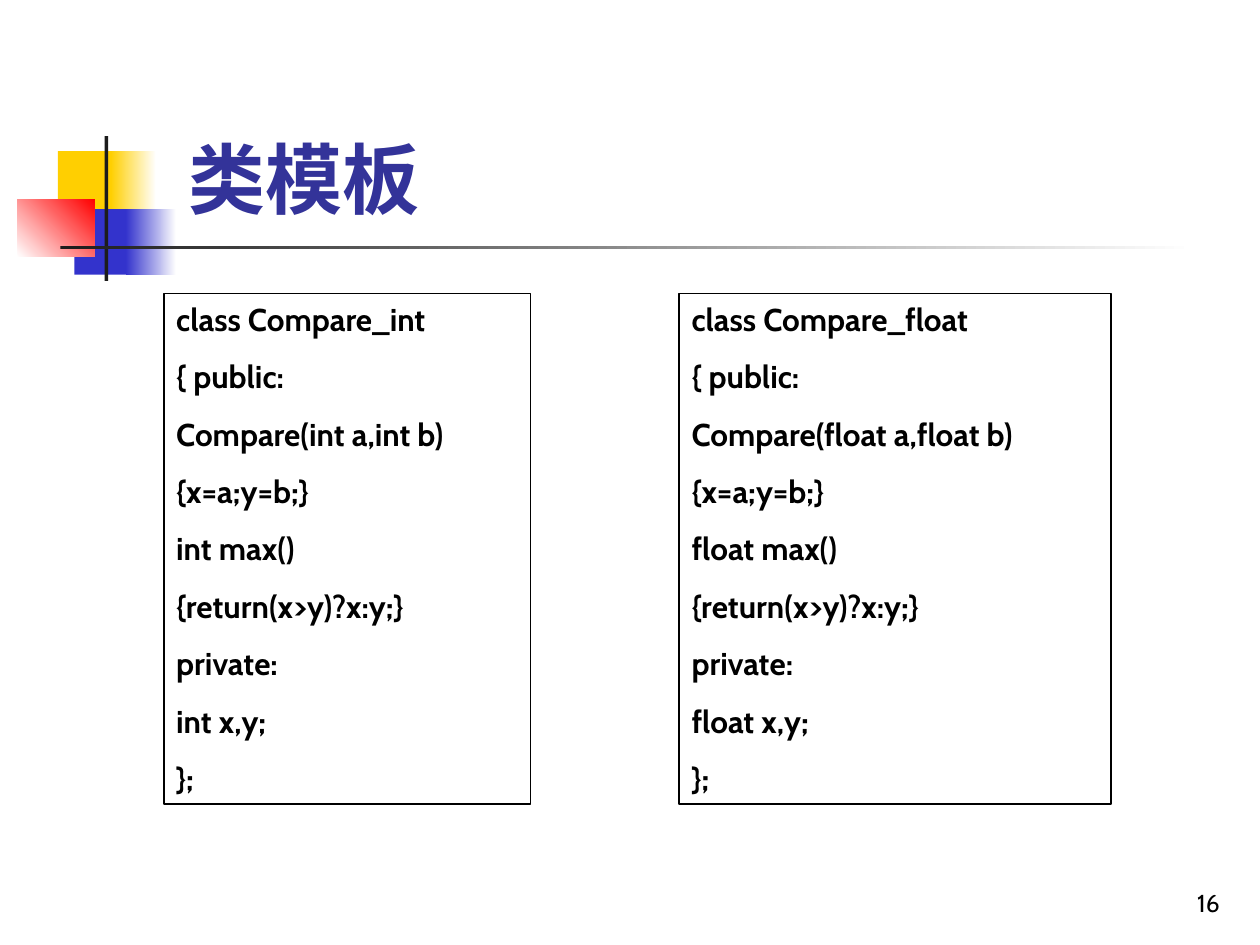
from lxml import etree
from pptx import Presentation
from pptx.dml.color import RGBColor
from pptx.enum.shapes import MSO_SHAPE
from pptx.enum.text import MSO_ANCHOR, MSO_AUTO_SIZE, PP_ALIGN
from pptx.oxml.ns import qn
from pptx.util import Inches, Pt

RECTANGLE = MSO_SHAPE.RECTANGLE
TOP, BOTTOM = MSO_ANCHOR.TOP, MSO_ANCHOR.BOTTOM
LEFT, RIGHT = PP_ALIGN.LEFT, PP_ALIGN.RIGHT
NO_AUTOFIT = MSO_AUTO_SIZE.NONE
GROW_TO_TEXT = MSO_AUTO_SIZE.SHAPE_TO_FIT_TEXT

BODY_FONT = "Cabin"
TITLE_FONT = "Noto Sans CJK SC"
WHITE, BLACK, CHARCOAL = "FFFFFF", "000000", "1C1C1C"
YELLOW, BLUE, RED, TITLE_BLUE = "FFCF01", "3333CC", "FF0000", "333399"

# left, top, width, height, colours (two make a gradient), counter-clockwise angle
ORNAMENT = [
    (0.46, 1.2, 0.48, 0.52, [YELLOW], 0),
    (0.88, 1.2, 0.36, 0.52, [YELLOW, WHITE], 0),
    (0.59, 1.66, 0.46, 0.52, [BLUE], 0),
    (1, 1.66, 0.4, 0.52, [BLUE, WHITE], 0),
    (0.14, 1.58, 0.61, 0.46, [WHITE, RED], 45),
    (0.83, 1.08, 0.03, 1.15, [CHARCOAL], 0),
    (0.48, 1.95, 9, 0.03, [CHARCOAL, WHITE], 0),
]


def rgb(color):
    return RGBColor.from_string(color)


def add_rectangle(slide, left, top, width, height):
    rectangle = slide.shapes.add_shape(
        RECTANGLE, Inches(left), Inches(top), Inches(width), Inches(height))
    rectangle.shadow.inherit = False
    return rectangle


def add_ornament_block(slide, left, top, width, height, colors, angle):
    block = add_rectangle(slide, left, top, width, height)
    block.line.fill.background()
    if len(colors) == 1:
        block.fill.solid()
        block.fill.fore_color.rgb = rgb(colors[0])
        return
    block.fill.gradient()
    block.fill.gradient_angle = angle
    for stop, color in zip(block.fill.gradient_stops, colors):
        stop.color.rgb = rgb(color)


def set_frame(frame, anchor, auto_size):
    frame.word_wrap = True
    frame.vertical_anchor = anchor
    frame.auto_size = auto_size


def add_run(paragraph, text, size, color=BLACK, font=BODY_FONT, bold=False):
    run = paragraph.add_run()
    run.text = text
    run.font.size = Pt(size)
    run.font.bold = bold
    run.font.name = font
    run.font.color.rgb = rgb(color)
    east_asian = etree.SubElement(run.font._element, qn("a:ea"))
    east_asian.set("typeface", font)


def set_title(slide, text):
    title = slide.shapes.title
    title.left, title.top = Inches(1.26), Inches(0.23)
    title.width, title.height = Inches(8.52), Inches(1.6)
    set_frame(title.text_frame, BOTTOM, NO_AUTOFIT)
    paragraph = title.text_frame.paragraphs[0]
    paragraph.alignment = LEFT
    add_run(paragraph, text, 44, TITLE_BLUE, TITLE_FONT, bold=True)


def compare_class(number_type):
    """Return the code lines of the comparison class for one number type."""
    return [
        f"class Compare_{number_type}",
        "{ public:",
        f"Compare({number_type} a,{number_type} b)",
        "{x=a;y=b;}",
        f"{number_type} max()",
        "{return(x>y)?x:y;}",
        "private:",
        f"{number_type} x,y;",
        "};",
    ]


def add_code_box(slide, left, width, lines):
    box = add_rectangle(slide, left, 2.33, width, 4.05)
    box.fill.background()
    box.line.color.rgb = rgb(BLACK)
    box.line.width = Pt(1)
    frame = box.text_frame
    set_frame(frame, TOP, GROW_TO_TEXT)
    for index, line in enumerate(lines):
        paragraph = frame.add_paragraph() if index else frame.paragraphs[0]
        paragraph.alignment = LEFT
        paragraph.space_before = Pt(11.2)
        add_run(paragraph, line, 18, bold=True)


def add_page_number(slide, number):
    box = slide.shapes.add_textbox(
        Inches(7.7), Inches(6.83), Inches(2.08), Inches(0.5))
    set_frame(box.text_frame, BOTTOM, NO_AUTOFIT)
    paragraph = box.text_frame.paragraphs[0]
    paragraph.alignment = RIGHT
    add_run(paragraph, number, 14)


def main():
    presentation = Presentation()
    presentation.slide_width = Inches(10)
    presentation.slide_height = Inches(7.5)
    slide = presentation.slides.add_slide(presentation.slide_layouts[5])

    for block in ORNAMENT:
        add_ornament_block(slide, *block)
    add_page_number(slide, "16")
    set_title(slide, " 类模板")
    add_code_box(slide, 1.3, 2.91, compare_class("int"))
    add_code_box(slide, 5.39, 3.43, compare_class("float"))

    presentation.save("out.pptx")


if __name__ == "__main__":
    main()
